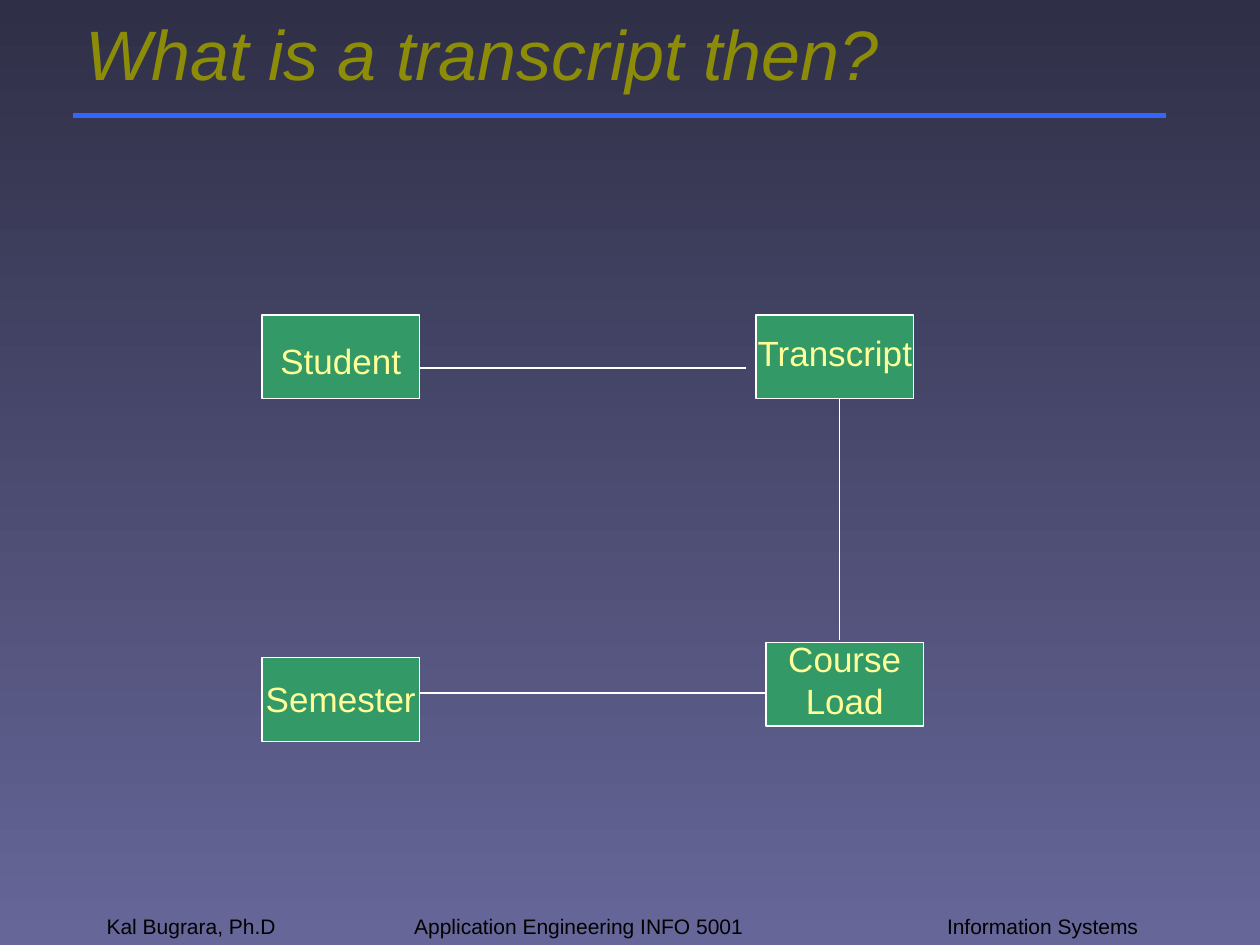
from dataclasses import dataclass

from lxml import etree
from pptx import Presentation
from pptx import util as u
from pptx.dml.color import RGBColor
from pptx.enum import shapes, text
from pptx.oxml.ns import qn

HUES = {
    "top": "2F2F47",
    "base": "666699",
    "rule": "3366FF",
    "title": "8C8C08",
    "box": "339966",
    "edge": "FFFFFF",
    "label": "FFFF99",
    "foot": "000000",
}
BOX_W, BOX_H = 3.18, 1.69
FOOT_Y, FOOT_H = 17.78, 1.27


@dataclass
class Node:
    """A named box; drop is how far its label starts below the box top."""
    name: str
    x: float
    y: float
    drop: float
    wide: float = 4.02
    high: float = 1.12


@dataclass
class Link:
    x1: float
    y1: float
    x2: float
    y2: float
    hue: str = "edge"
    size: float = 0.75


NODES = [
    Node("Student", 5.28, 6.35, 0.36),
    Node("Transcript", 15.24, 6.35, 0.21),
    Node("Course Load", 15.44, 12.95, -0.22, high=1.96),
    Node("Semester", 5.28, 13.26, 0.28, wide=4.45),
]
LINKS = [
    Link(1.47, 2.33, 23.5, 2.33, "rule", 3),
    Link(8.46, 13.97, 16.31, 13.97),
    Link(16.93, 8.04, 16.93, 12.9),
    Link(8.46, 7.42, 15.04, 7.42),
]


def tint(hue: str) -> RGBColor:
    return RGBColor.from_string(HUES[hue])


def place(shape, x: float, y: float, wide: float, high: float) -> None:
    shape.left, shape.top = u.Cm(x), u.Cm(y)
    shape.width, shape.height = u.Cm(wide), u.Cm(high)


def write(shape, words: str, *, size: float, hue: str, italic: bool = False,
          align=text.PP_ALIGN.LEFT, anchor=text.MSO_ANCHOR.TOP,
          tab: float | None = None) -> None:
    """Fill a shape with one paragraph; tab is a right tab stop in cm."""
    frame = shape.text_frame
    frame.word_wrap = True
    frame.auto_size = text.MSO_AUTO_SIZE.NONE
    frame.vertical_anchor = anchor
    frame.text = words
    para = frame.paragraphs[0]
    para.alignment = align
    if tab is not None:
        stops = etree.SubElement(para._p.get_or_add_pPr(), qn("a:tabLst"))
        etree.SubElement(stops, qn("a:tab"), pos=str(u.Cm(tab)), algn="r")
    font = para.runs[0].font
    font.name, font.size, font.italic = "Arial", u.Pt(size), italic
    font.color.rgb = tint(hue)


def draw_link(slide, link: Link) -> None:
    line = slide.shapes.add_connector(
        shapes.MSO_CONNECTOR.STRAIGHT,
        u.Cm(link.x1), u.Cm(link.y1), u.Cm(link.x2), u.Cm(link.y2))
    line.line.color.rgb = tint(link.hue)
    line.line.width = u.Pt(link.size)
    etree.SubElement(line._element.spPr, qn("a:effectLst"))


def draw_node(slide, node: Node) -> None:
    box = slide.shapes.add_shape(
        shapes.MSO_SHAPE.RECTANGLE,
        u.Cm(node.x), u.Cm(node.y), u.Cm(BOX_W), u.Cm(BOX_H))
    box.shadow.inherit = False
    box.fill.solid()
    box.fill.fore_color.rgb = tint("box")
    box.line.color.rgb = tint("edge")
    box.line.width = u.Pt(0.75)

    left = node.x + (BOX_W - node.wide) / 2
    label = slide.shapes.add_textbox(
        u.Cm(left), u.Cm(node.y + node.drop), u.Cm(node.wide), u.Cm(node.high))
    write(label, node.name, size=20, hue="label", align=text.PP_ALIGN.CENTER)


def draw_foot(slide, words: str, x: float, wide: float,
              tab: float | None = None) -> None:
    foot = slide.shapes.add_textbox(
        u.Cm(x), u.Cm(FOOT_Y), u.Cm(wide), u.Cm(FOOT_H))
    write(foot, words, size=12, hue="foot", anchor=text.MSO_ANCHOR.BOTTOM,
          tab=tab)


def main() -> None:
    deck = Presentation()
    deck.slide_width, deck.slide_height = u.Cm(25.4), u.Cm(19.05)
    slide = deck.slides.add_slide(deck.slide_layouts[5])

    fill = slide.background.fill
    fill.gradient()
    fill.gradient_angle = 270
    for stop, hue in zip(fill.gradient_stops, ("top", "base")):
        stop.color.rgb = tint(hue)

    title = slide.shapes.title
    place(title, 1.47, 0, 22.02, 2.11)
    write(title, "What is a transcript then?", size=40, hue="title",
          italic=True, anchor=text.MSO_ANCHOR.MIDDLE)

    for link in LINKS:
        draw_link(slide, link)
    for node in NODES:
        draw_node(slide, node)

    draw_foot(slide, "Kal Bugrara, Ph.D", 1.9, 5.28)
    draw_foot(slide, "Application Engineering INFO 5001\tInformation Systems",
              8.1, 15.24, tab=14.6)

    deck.save("out.pptx")


if __name__ == "__main__":
    main()
